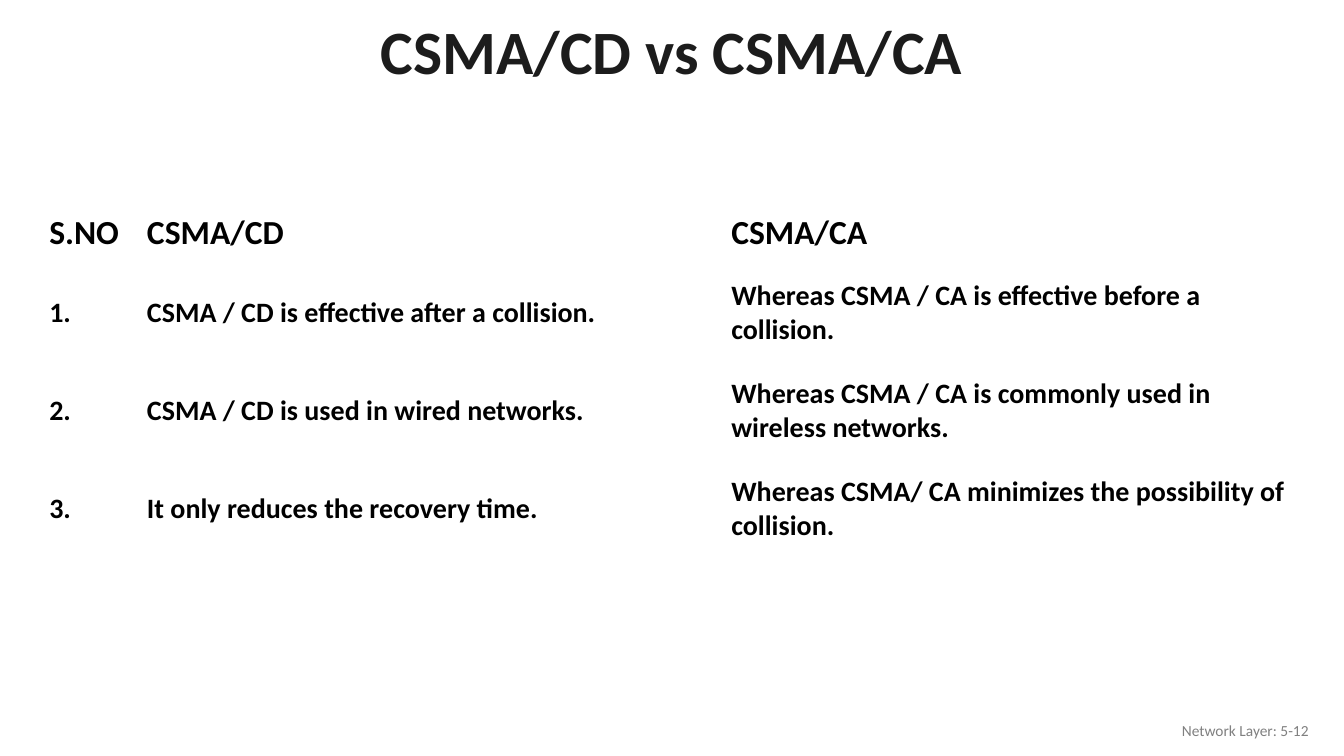
from pptx import Presentation
from pptx.dml.color import RGBColor
from pptx.enum.text import MSO_ANCHOR, PP_ALIGN
from pptx.util import Pt

MIDDLE = MSO_ANCHOR.MIDDLE
LEFT, CENTER, RIGHT = PP_ALIGN.LEFT, PP_ALIGN.CENTER, PP_ALIGN.RIGHT
WHITE = RGBColor(0xFF, 0xFF, 0xFF)
BLACK = RGBColor(0, 0, 0)
INK = RGBColor(0x1C, 0x1C, 0x1C)
GRAY = RGBColor(0x80, 0x80, 0x80)

ROWS = [
    ("S.NO", "CSMA/CD", "CSMA/CA"),
    ("1.", "CSMA / CD is effective after a collision.",
     "Whereas CSMA / CA is effective before a collision."),
    ("2.", "CSMA / CD is used in wired networks.",
     "Whereas CSMA / CA is commonly used in wireless networks."),
    ("3.", "It only reduces the recovery time.",
     "Whereas CSMA/ CA minimizes the possibility of collision."),
]


def apply(item, values):
    for name, value in values.items():
        setattr(item, name, value)


class Page:
    face = "Calibri"

    def __init__(self, deck):
        self.slide = deck.slides.add_slide(deck.slide_layouts[5])

    def put_text(self, frame, text, size, color, bold, align):
        par = frame.paragraphs[0]
        par.alignment = align
        run = par.add_run()
        run.text = text
        apply(run.font, {"name": self.face, "size": Pt(size), "bold": bold})
        run.font.color.rgb = color

    def title(self, text, left, top, width, height):
        shape = self.slide.shapes.title
        apply(shape, {"left": Pt(left), "top": Pt(top),
                      "width": Pt(width), "height": Pt(height)})
        frame = shape.text_frame
        apply(frame, {"word_wrap": True, "vertical_anchor": MIDDLE})
        self.put_text(frame, text, 44, INK, True, CENTER)
        frame.paragraphs[0].line_spacing = 0.9

    def label(self, text, left, top, width, height):
        box = self.slide.shapes.add_textbox(
            Pt(left), Pt(top), Pt(width), Pt(height))
        frame = box.text_frame
        apply(frame, {"word_wrap": True, "vertical_anchor": MIDDLE})
        self.put_text(frame, text, 11, GRAY, False, RIGHT)

    def table(self, rows, left, top, widths, heights):
        grid = self.slide.shapes.add_table(
            len(rows), len(widths), Pt(left), Pt(top),
            Pt(sum(widths)), Pt(sum(heights))).table
        apply(grid, {"first_row": False, "horz_banding": False})
        for col, width in zip(grid.columns, widths):
            col.width = Pt(width)
        for i, (row, texts) in enumerate(zip(grid.rows, rows)):
            row.height = Pt(heights[i])
            size, pad = (20, 10.8) if i else (24, 7.2)
            for cell, text in zip(row.cells, texts):
                apply(cell, {"vertical_anchor": MIDDLE,
                             "margin_left": Pt(7.2), "margin_right": Pt(7.2),
                             "margin_top": Pt(pad), "margin_bottom": Pt(pad)})
                cell.fill.solid()
                cell.fill.fore_color.rgb = WHITE
                self.put_text(cell.text_frame, text, size, BLACK, True, LEFT)


def main():
    deck = Presentation()
    apply(deck, {"slide_width": Pt(960), "slide_height": Pt(540)})
    page = Page(deck)
    page.title("CSMA/CD vs CSMA/CA", 66, 3.6, 828, 70.5)
    page.label("Network Layer: 5-12", 726, 507.6, 216, 28.8)
    page.table(ROWS, 28, 144.7, [69.8, 417.4, 417.4], [43.7, 70, 70, 70])
    deck.save("out.pptx")


if __name__ == "__main__":
    main()
